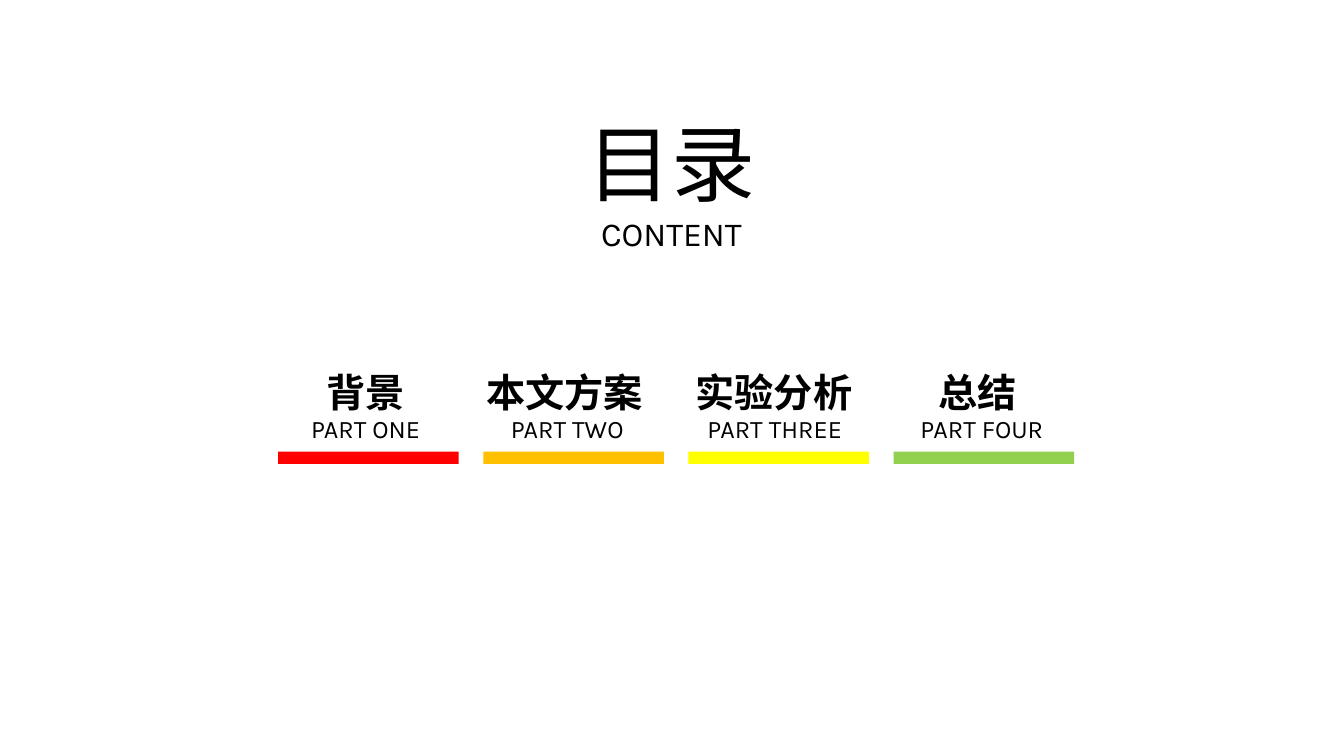
from pptx import Presentation
from pptx.dml.color import RGBColor
from pptx.enum.shapes import MSO_SHAPE
from pptx.enum.text import MSO_AUTO_SIZE, PP_ALIGN
from pptx.util import Cm, Pt

RECTANGLE = MSO_SHAPE.RECTANGLE
CENTER = PP_ALIGN.CENTER
GROW = MSO_AUTO_SIZE.SHAPE_TO_FIT_TEXT

FONT = "Karla"
COLORS = {
    "text": "000000",
    "red": "FF0000",
    "orange": "FFC000",
    "yellow": "FFFF00",
    "green": "92D050",
}

# title, title shift, label, label shift, label width, bar colour
PARTS = [
    ("背景", -0.07, "PART ONE", -0.07, 4.06, "red"),
    ("本文方案", -0.23, "PART TWO", -0.16, 4.42, "orange"),
    ("实验分析", -0.12, "PART THREE", -0.1, 4.75, "yellow"),
    ("总结", -0.16, "PART FOUR", -0.05, 3.91, "green"),
]
PART_LEFT, PART_TOP, PART_WIDTH, PART_PITCH = 7.01, 8.79, 4.55, 5.17


def add_text(page, left, top, width, height, lines, bold=False, spacing=None, wrap=True):
    box = page.shapes.add_textbox(Cm(left), Cm(top), Cm(width), Cm(height))
    frame = box.text_frame
    frame.word_wrap = wrap
    frame.auto_size = GROW
    frame.text = "\n".join(text for text, size in lines)
    for para, (text, size) in zip(frame.paragraphs, lines):
        para.alignment = CENTER
        if spacing:
            para.line_spacing = spacing
        for span in para.runs:
            span.font.name = FONT
            span.font.size = Pt(size)
            span.font.bold = bold
            span.font.color.rgb = RGBColor.from_string(COLORS["text"])


def add_heading(page, left, top, width, height):
    lines = [("目录", 60), ("CONTENT", 24)]
    add_text(page, left, top, width, height, lines, wrap=False)


def add_part(page, left, top, width, part):
    title, title_shift, label, label_shift, label_width, color = part
    middle = left + width / 2
    title_width = 4.88
    add_text(page, middle + label_shift - label_width / 2, top + 1.27,
             label_width, 1.24, [(label, 18)], spacing=1.3)
    add_text(page, middle + title_shift - title_width / 2, top,
             title_width, 1.65, [(title, 28)], bold=True, spacing=1.3)
    bar = page.shapes.add_shape(RECTANGLE, Cm(left), Cm(top + 2.59), Cm(width), Cm(0.31))
    bar.shadow.inherit = False
    bar.fill.solid()
    bar.fill.fore_color.rgb = RGBColor.from_string(COLORS[color])
    bar.line.fill.background()


def main():
    deck = Presentation()
    deck.slide_width, deck.slide_height = Cm(33.87), Cm(19.05)
    page = deck.slides.add_slide(deck.slide_layouts[6])
    add_heading(page, 14.53, 2.69, 4.78, 3.84)
    for index, part in enumerate(PARTS):
        add_part(page, PART_LEFT + index * PART_PITCH, PART_TOP, PART_WIDTH, part)
    deck.save("out.pptx")


if __name__ == "__main__":
    main()
